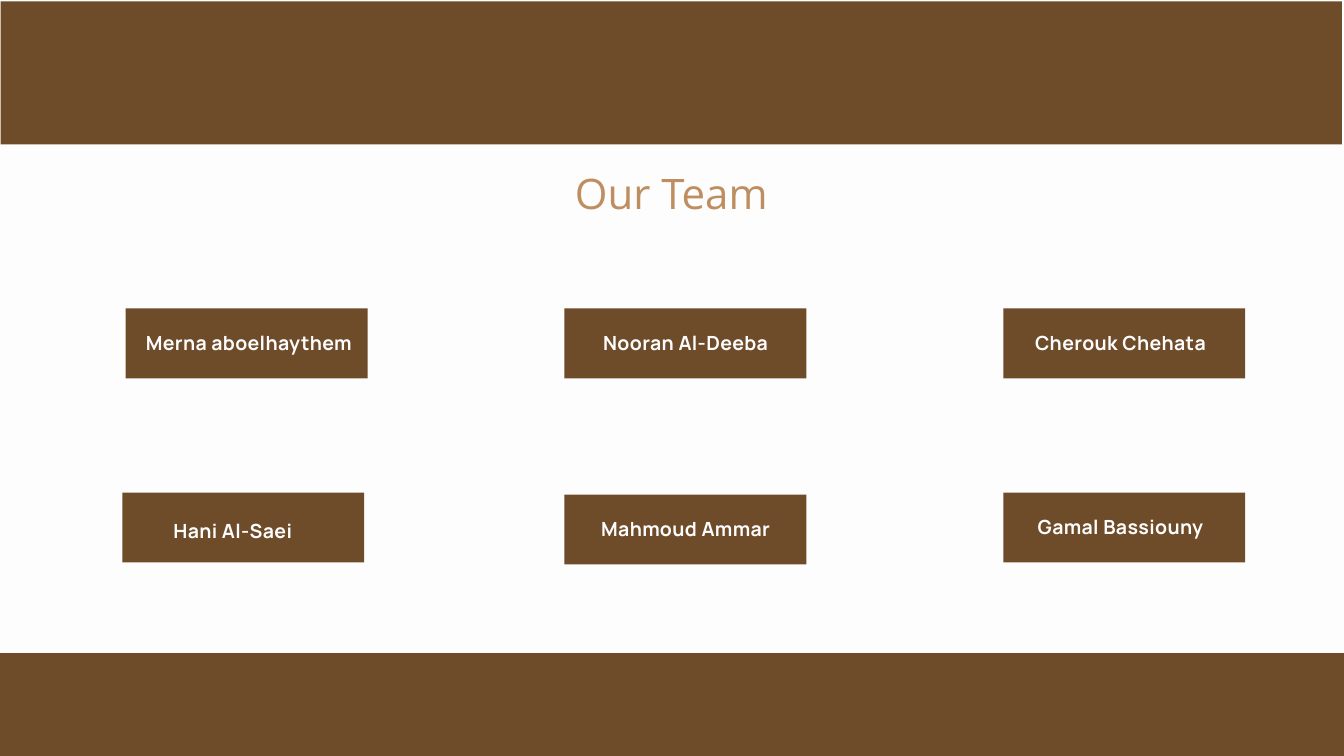
from pptx import Presentation
from pptx.dml.color import RGBColor
from pptx.enum.shapes import MSO_SHAPE as Shape
from pptx.enum.text import MSO_AUTO_SIZE as AutoSize, PP_ALIGN as Align
from pptx.util import Inches, Pt

BROWN = RGBColor(0x6E, 0x4B, 0x29)
TAN = RGBColor(0xBF, 0x8E, 0x60)
OFF_WHITE = RGBColor(0xFD, 0xFD, 0xFD)

TITLE_FONT = {"name": "Open Sans", "size": Pt(45)}
NAME_FONT = {"name": "Manrope", "size": Pt(20.9), "bold": True}

prs = Presentation()
prs.slide_width, prs.slide_height = Inches(20), Inches(11.25)
slide = prs.slides.add_slide(prs.slide_layouts[6])
slide.background.fill.solid()
slide.background.fill.fore_color.rgb = OFF_WHITE


def add_panel(left, top, width, height):
    panel = slide.shapes.add_shape(Shape.RECTANGLE, *map(Inches, (left, top, width, height)))
    panel.shadow.inherit = False
    panel.fill.solid()
    panel.fill.fore_color.rgb = BROWN
    panel.line.fill.background()


def add_label(text, box, font_format, color, line_spacing, tracking=0):
    frame = slide.shapes.add_textbox(*map(Inches, box)).text_frame
    frame_format = {"word_wrap": True, "auto_size": AutoSize.SHAPE_TO_FIT_TEXT,
                    "margin_left": 0, "margin_top": 0, "margin_right": 0, "margin_bottom": 0}
    for key, value in frame_format.items():
        setattr(frame, key, value)
    line = frame.paragraphs[0]
    line.alignment = Align.CENTER
    line.line_spacing = Pt(line_spacing)
    words = line.add_run()
    words.text = text
    for key, value in font_format.items():
        setattr(words.font, key, value)
    words.font.color.rgb = color
    if tracking:
        words.font._element.set("spc", str(tracking))


# Bands at the bottom and top
add_panel(0, 9.72, 20, 1.53)
add_panel(0.01, 0.02, 19.96, 2.13)

# Title
add_label("Our Team", (6.01, 2.37, 7.96, 0.84), TITLE_FONT, TAN, 63)

# Team members: name, panel left and top, label left, top, width and height
members = [
    ("Merna aboelhaythem", (1.87, 4.59), (1.93, 4.87, 3.55, 0.41)),
    ("Nooran Al-Deeba", (8.4, 4.59), (8.76, 4.87, 2.89, 0.41)),
    ("Cherouk Chehata", (14.93, 4.59), (15.23, 4.87, 2.89, 0.41)),
    ("Hani Al-Saei", (1.82, 7.33), (1.69, 7.67, 3.55, 0.81)),
    ("Mahmoud Ammar", (8.4, 7.36), (8.43, 7.64, 3.55, 0.41)),
    ("Gamal Bassiouny", (14.93, 7.33), (14.9, 7.61, 3.55, 0.81)),
]
for name, corner, label_box in members:
    add_panel(*corner, 3.6, 1.04)
    add_label(name, label_box, NAME_FONT, OFF_WHITE, 29.2, tracking=40)

prs.save("out.pptx")
